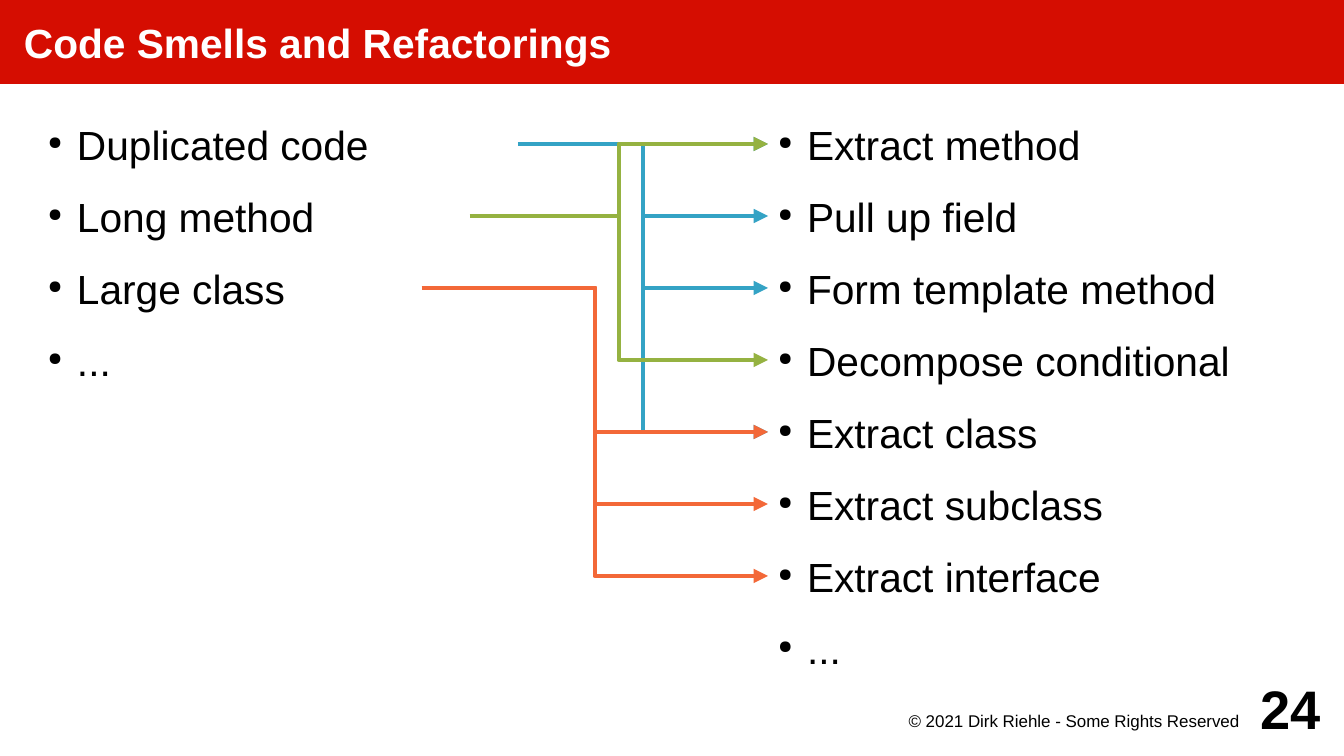
from lxml import etree
from pptx import Presentation
from pptx.dml.color import RGBColor
from pptx.enum import shapes, text
from pptx.oxml import ns
from pptx.util import Pt

RED = RGBColor(0xD5, 0x0D, 0x01)
WHITE = RGBColor(0xFF, 0xFF, 0xFF)
BLACK = RGBColor(0, 0, 0)
BLUE = RGBColor(0x34, 0xA3, 0xC5)
GREEN = RGBColor(0x95, 0xB2, 0x41)
ORANGE = RGBColor(0xF3, 0x68, 0x38)

TITLE = "Code Smells and Refactorings"
RIGHTS = "© 2021 Dirk Riehle - Some Rights Reserved"
PAGE = "24"
FIXES = ["Extract method", "Pull up field", "Form template method",
         "Decompose conditional", "Extract class", "Extract subclass",
         "Extract interface", "..."]
# smell, box width, arrow colour, rows of its refactorings
SMELLS = [
    ("Duplicated code", 480, BLUE, [0, 1, 2, 4]),
    ("Long method", 432, GREEN, [0, 3]),
    ("Large class", 384, ORANGE, [4, 5, 6]),
    ("...", 480, None, []),
]

SCALE = 914400 / 122
WIDTH, HEIGHT, BAR = 1344, 756, 84
TOP, ROW, LEFT, RIGHT, FIXW = 108, 72, 38, 768, 480
PAD, INDENT = 10, 29


def px(n):
    return round(n * SCALE)


def write(shape, words, size, color=BLACK, bold=False, align=text.PP_ALIGN.LEFT,
          pads=(0, 0, 0, 0), anchor=text.MSO_ANCHOR.MIDDLE):
    frame = shape.text_frame
    frame.text = words
    frame.word_wrap = True
    frame.vertical_anchor = anchor
    (frame.margin_left, frame.margin_top,
     frame.margin_right, frame.margin_bottom) = map(px, pads)
    para = frame.paragraphs[0]
    para.alignment = align
    font = para.runs[0].font
    font.name, font.size, font.bold = "Arial", Pt(size), bold
    font.color.rgb = color
    return para


def box(x, y, w, h):
    return slide.shapes.add_textbox(px(x), px(y), px(w), px(h))


def item(words, x, row, w):
    """Add one bulleted line on the given row."""
    shape = box(x, TOP + row * ROW, w, ROW)
    props = write(shape, words, 24, pads=(PAD,) * 4)._p.get_or_add_pPr()
    props.set("marL", str(px(INDENT)))
    props.set("indent", str(-px(INDENT)))
    tint = etree.SubElement(props, ns.qn("a:buClr"))
    etree.SubElement(tint, ns.qn("a:srgbClr"), val=str(BLACK))
    etree.SubElement(props, ns.qn("a:buSzPct"), val="45000")
    etree.SubElement(props, ns.qn("a:buChar"), char="●")
    return shape


def arrow(smell, fix, color):
    kind = shapes.MSO_CONNECTOR.ELBOW
    if smell.top == fix.top:
        kind = shapes.MSO_CONNECTOR.STRAIGHT
    link = slide.shapes.add_connector(kind, 0, 0, 0, 0)
    link.begin_connect(smell, 3)
    link.end_connect(fix, 1)
    link.line.color.rgb = color
    link.line.width = Pt(2.83)
    etree.SubElement(link.line._get_or_add_ln(), ns.qn("a:tailEnd"), type="triangle")
    etree.SubElement(link._element.spPr, ns.qn("a:effectLst"))


deck = Presentation()
deck.slide_width, deck.slide_height = px(WIDTH), px(HEIGHT)
slide = deck.slides.add_slide(deck.slide_layouts[6])

bar = slide.shapes.add_shape(shapes.MSO_SHAPE.RECTANGLE, 0, 0, px(WIDTH), px(BAR))
bar.shadow.inherit = False
bar.fill.solid()
bar.fill.fore_color.rgb = RED
bar.line.fill.background()
write(bar, TITLE, 24, WHITE, True, pads=(24, 0, 0, 0))

smells = [item(name, LEFT, row, w) for row, (name, w, _, _) in enumerate(SMELLS)]
fixes = [item(name, RIGHT, row, FIXW) for row, name in enumerate(FIXES)]
for smell, (_, _, color, rows) in zip(smells, SMELLS):
    for row in rows:
        arrow(smell, fixes[row], color)

write(box(865, 709, 384, 36), RIGHTS, 10, align=text.PP_ALIGN.RIGHT,
      pads=(0, 2, PAD, 0), anchor=text.MSO_ANCHOR.TOP)
# Page number
write(box(1225, 672, 96, 72), PAGE, 32, bold=True, align=text.PP_ALIGN.RIGHT)

deck.save("out.pptx")
